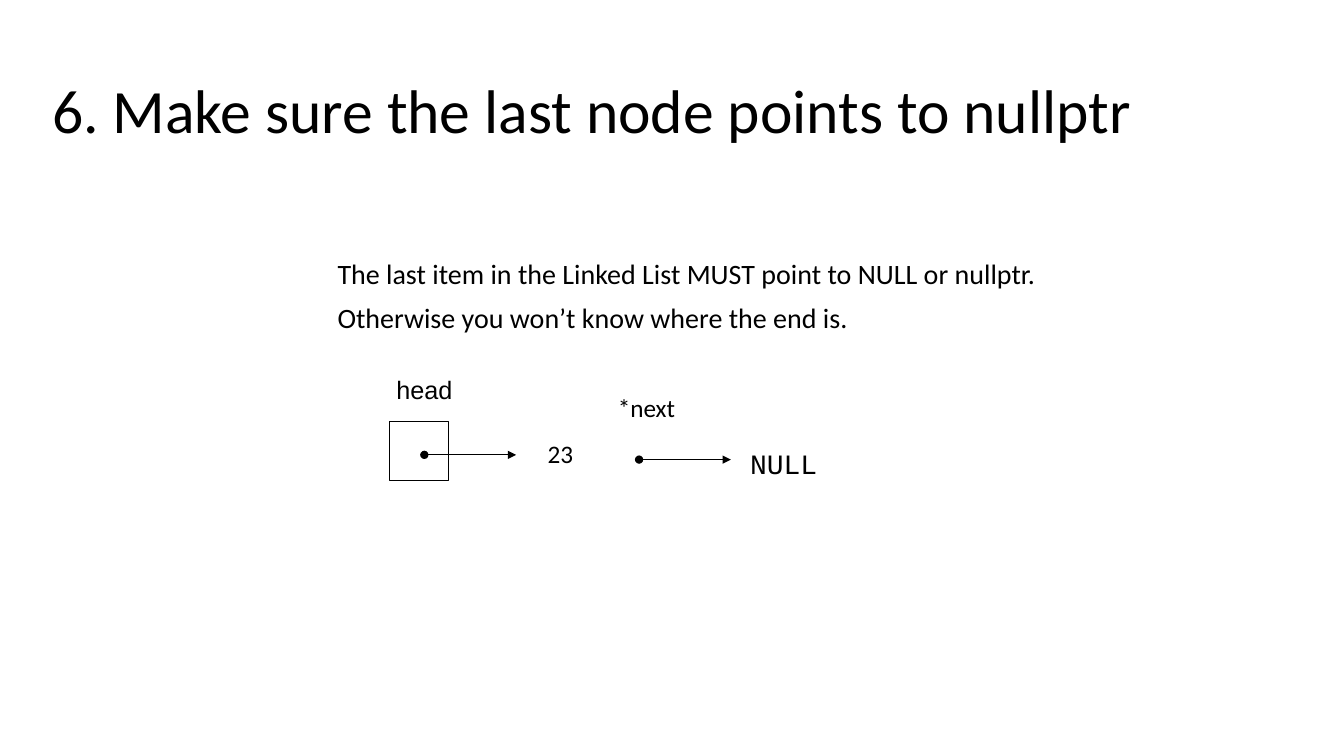
from dataclasses import dataclass

import pptx
import pptx.dml.color
import pptx.enum.shapes
import pptx.enum.text
import pptx.oxml
import pptx.oxml.ns
import pptx.shapes.shapetree
import pptx.text.text
import pptx.util

Pt = pptx.util.Pt
Align = pptx.enum.text.PP_ALIGN
BLACK = pptx.dml.color.RGBColor(0, 0, 0)
WHITE = pptx.dml.color.RGBColor(255, 255, 255)
LINE_WIDTH = 0.75
ARROW_LENGTH = 65.6


@dataclass
class Label:
    lines: list[str]
    left: float
    top: float
    width: float
    height: float
    size: float = 18
    font: str = "Calibri"
    align: Align = Align.LEFT
    spacing: float = 1.0
    gap: float = 0
    wrap: bool = True


@dataclass
class Arrow:
    left: float
    top: float


TITLE = Label(["6. Make sure the last node points to nullptr"],
              30, 28.8, 900, 104.4, size=44, spacing=0.9)
EXPLANATION = Label(["The last item in the Linked List MUST point to NULL or nullptr.",
                     "Otherwise you won’t know where the end is."],
                    234, 182.2, 696, 306, size=20, spacing=0.9, gap=10)
NODE_LABELS = [
    Label(["23"], 384, 309.6, 51.8, 28.8),
    Label(["*next"], 434.2, 276.5, 72.7, 28.8),
]
HEAD_LABEL = Label(["head"], 270, 267.8, 66.2, 24.5,
                   font="Arial", align=Align.CENTER, spacing=0.8)
NULL_LABEL = Label(["NULL"], 528.5, 310.3, 62.6, 36, size=20,
                   font="Courier New", align=Align.CENTER, spacing=1.2, wrap=False)
HEAD_ARROW = Arrow(303.1, 324.9)
NEXT_ARROW = Arrow(456.5, 328.3)


def write_text(frame: pptx.text.text.TextFrame, label: Label) -> None:
    frame.word_wrap = label.wrap
    for index, line in enumerate(label.lines):
        para = frame.add_paragraph() if index else frame.paragraphs[0]
        para.alignment = label.align
        para.line_spacing = label.spacing
        para.space_before = Pt(label.gap if index else 0)
        span = para.add_run()
        span.text = line
        span.font.size = Pt(label.size)
        span.font.name = label.font
        span.font.color.rgb = BLACK


def add_label(shapes: pptx.shapes.shapetree._BaseGroupShapes, label: Label) -> None:
    box = shapes.add_textbox(Pt(label.left), Pt(label.top),
                             Pt(label.width), Pt(label.height))
    write_text(box.text_frame, label)


def add_arrow(shapes: pptx.shapes.shapetree._BaseGroupShapes, arrow: Arrow) -> None:
    connector = shapes.add_connector(
        pptx.enum.shapes.MSO_CONNECTOR.STRAIGHT, Pt(arrow.left), Pt(arrow.top),
        Pt(arrow.left + ARROW_LENGTH), Pt(arrow.top))
    connector.line.color.rgb = BLACK
    connector.line.width = Pt(LINE_WIDTH)
    outline = connector.line._get_or_add_ln()
    for tag, kind in (("a:headEnd", "oval"), ("a:tailEnd", "triangle")):
        end = pptx.oxml.parse_xml(
            f'<{tag} {pptx.oxml.ns.nsdecls("a")} type="{kind}"/>')
        outline.append(end)
    connector._element.spPr.append(
        pptx.oxml.parse_xml(f'<a:effectLst {pptx.oxml.ns.nsdecls("a")}/>'))


def main() -> None:
    deck = pptx.Presentation()
    deck.slide_width, deck.slide_height = Pt(960), Pt(540)
    page = deck.slides.add_slide(deck.slide_layouts.get_by_name("Title Only"))
    page.background.fill.solid()
    page.background.fill.fore_color.rgb = WHITE

    # Title
    title = page.shapes.title
    title.left, title.top = Pt(TITLE.left), Pt(TITLE.top)
    title.width, title.height = Pt(TITLE.width), Pt(TITLE.height)
    title.text_frame.vertical_anchor = pptx.enum.text.MSO_ANCHOR.MIDDLE
    title.text_frame.auto_size = pptx.enum.text.MSO_AUTO_SIZE.NONE
    write_text(title.text_frame, TITLE)

    # Explanation and node contents
    for label in [EXPLANATION, *NODE_LABELS]:
        add_label(page.shapes, label)

    # Head pointer
    head = page.shapes.add_group_shape()
    cell = head.shapes.add_shape(pptx.enum.shapes.MSO_SHAPE.RECTANGLE,
                                 Pt(278.6), Pt(301), Pt(42), Pt(42))
    cell.shadow.inherit = False
    cell.fill.background()
    cell.line.color.rgb = BLACK
    cell.line.width = Pt(LINE_WIDTH)
    add_arrow(head.shapes, HEAD_ARROW)
    add_label(head.shapes, HEAD_LABEL)

    # Next pointer to NULL
    add_arrow(page.shapes, NEXT_ARROW)
    add_label(page.shapes, NULL_LABEL)

    deck.save("out.pptx")


if __name__ == "__main__":
    main()
